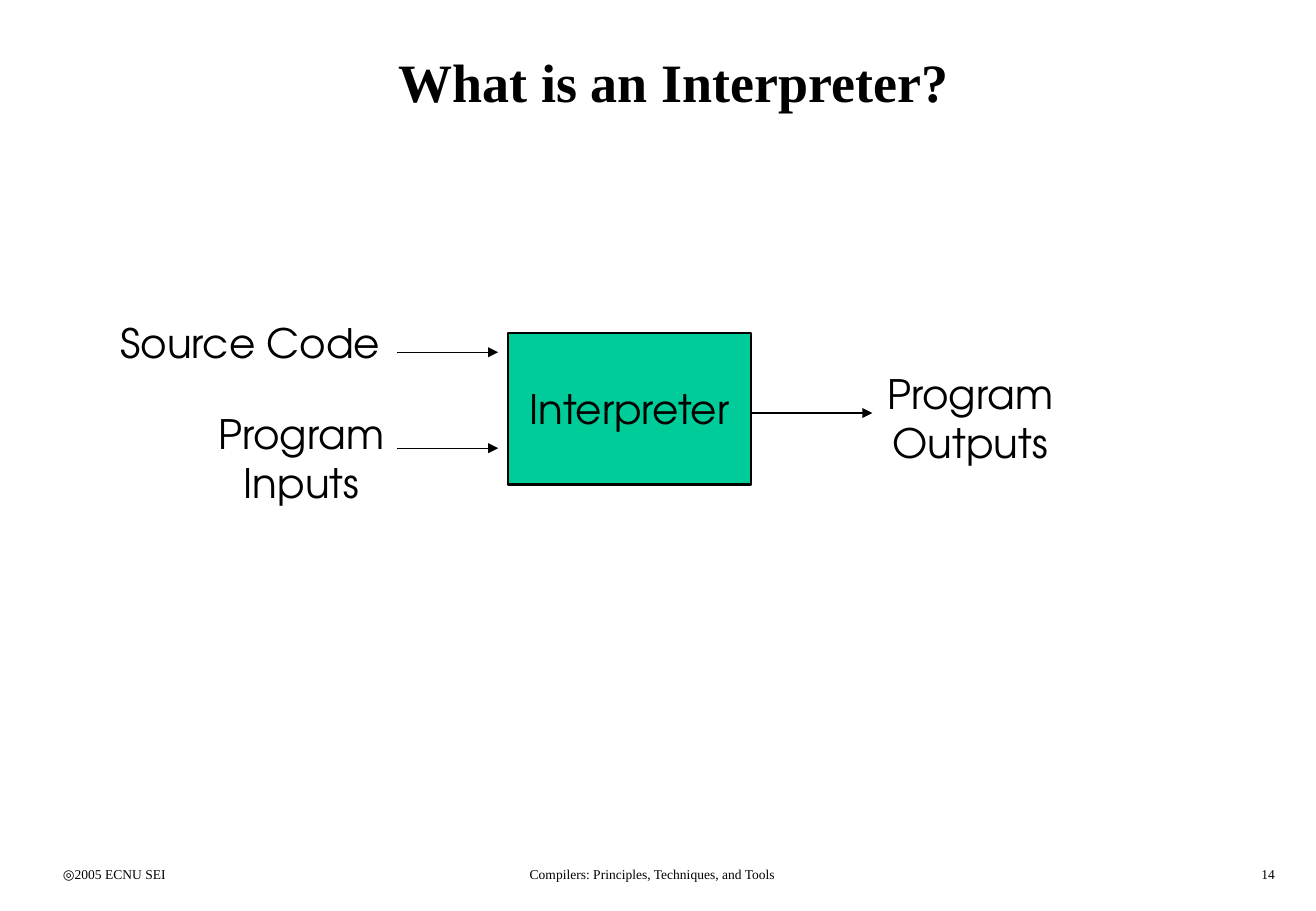
"""Build the slide that explains what an interpreter is."""
from dataclasses import dataclass

from lxml.etree import SubElement
from pptx import Presentation
from pptx.dml.color import RGBColor
from pptx.enum.shapes import MSO_CONNECTOR, MSO_SHAPE
from pptx.enum.text import MSO_ANCHOR as Anchor, PP_ALIGN as Align
from pptx.oxml.ns import qn
from pptx.shapes.base import BaseShape
from pptx.slide import Slide
from pptx.text.text import TextFrame
from pptx.util import Inches, Pt

BLACK = RGBColor(0x00, 0x00, 0x00)
WHITE = RGBColor(0xFF, 0xFF, 0xFF)
GREEN = RGBColor(0x00, 0xCC, 0x99)
SERIF = "Times New Roman"
SANS = "TeX Gyre Adventor"


@dataclass(frozen=True)
class Label:
    """A text with its box in inches and its style."""
    text: str
    left: float
    top: float
    width: float
    height: float
    size: int = 24
    font: str = SANS
    align: Align = Align.CENTER
    anchor: Anchor = Anchor.TOP
    bold: bool = False
    wrap: bool = True


@dataclass(frozen=True)
class Arrow:
    """A horizontal arrow in inches."""
    start: float
    end: float
    y: float


TITLE = Label("What is an Interpreter?", 0.42, 0.17, 10.25, 1, 32, SERIF,
              anchor=Anchor.MIDDLE, bold=True)
BOX = Label("Interpreter", 4.18, 2.74, 2, 1.25, anchor=Anchor.MIDDLE, wrap=False)
LABELS = [
    Label("Source Code", 0.85, 2.57, 2.42, 0.5),
    Label("Program Inputs", 1.27, 3.32, 2.42, 0.9),
    Label("Program Outputs", 7.12, 2.99, 1.73, 0.9),
    Label("◎2005 ECNU SEI", 0.42, 7.08, 2.26, 0.25, 8, SERIF, Align.LEFT),
    Label("Compilers: Principles, Techniques, and Tools", 3.34, 7.08, 4.06, 0.25, 8, SERIF),
    Label("14", 8.33, 7.08, 2.26, 0.25, 8, SERIF, Align.RIGHT),
]
ARROWS = [Arrow(3.27, 4.1, 2.9), Arrow(3.27, 4.1, 3.69), Arrow(6.18, 7.18, 3.4)]


def place(sp: BaseShape, label: Label) -> None:
    """Move a shape to the box of its label."""
    sp.left, sp.top = Inches(label.left), Inches(label.top)
    sp.width, sp.height = Inches(label.width), Inches(label.height)


def write(tf: TextFrame, label: Label) -> None:
    """Fill a text frame with the styled text of a label."""
    tf.word_wrap = label.wrap
    tf.vertical_anchor = label.anchor
    p = tf.paragraphs[0]
    p.alignment = label.align
    r = p.add_run()
    r.text = label.text
    r.font.name = label.font
    r.font.size = Pt(label.size)
    r.font.bold = label.bold
    r.font.color.rgb = BLACK


def add_label(s: Slide, label: Label) -> None:
    """Add a text box."""
    sp = s.shapes.add_textbox(0, 0, 0, 0)
    place(sp, label)
    write(sp.text_frame, label)


def add_box(s: Slide, label: Label) -> None:
    """Add the filled rectangle with its text."""
    sp = s.shapes.add_shape(MSO_SHAPE.RECTANGLE, 0, 0, 0, 0)
    place(sp, label)
    sp.shadow.inherit = False
    sp.fill.solid()
    sp.fill.fore_color.rgb = GREEN
    sp.line.color.rgb = BLACK
    sp.line.width = Pt(1.5)
    write(sp.text_frame, label)


def add_arrow(s: Slide, arrow: Arrow) -> None:
    """Add a thin line with a triangular head at its end."""
    y = Inches(arrow.y)
    cxn = s.shapes.add_connector(MSO_CONNECTOR.STRAIGHT, Inches(arrow.start), y,
                                 Inches(arrow.end), y)
    cxn.line.color.rgb = BLACK
    cxn.line.width = Pt(0.75)
    SubElement(cxn.line._get_or_add_ln(), qn("a:tailEnd"), type="triangle")
    SubElement(cxn._element.spPr, qn("a:effectLst"))


def main() -> None:
    """Build and save the presentation."""
    prs = Presentation()
    prs.slide_width, prs.slide_height = Inches(10.83), Inches(7.5)
    s = prs.slides.add_slide(prs.slide_layouts[6])
    s.background.fill.solid()
    s.background.fill.fore_color.rgb = WHITE
    add_label(s, TITLE)
    add_box(s, BOX)
    for arrow in ARROWS:
        add_arrow(s, arrow)
    for label in LABELS:
        add_label(s, label)
    prs.save("out.pptx")


if __name__ == "__main__":
    main()
